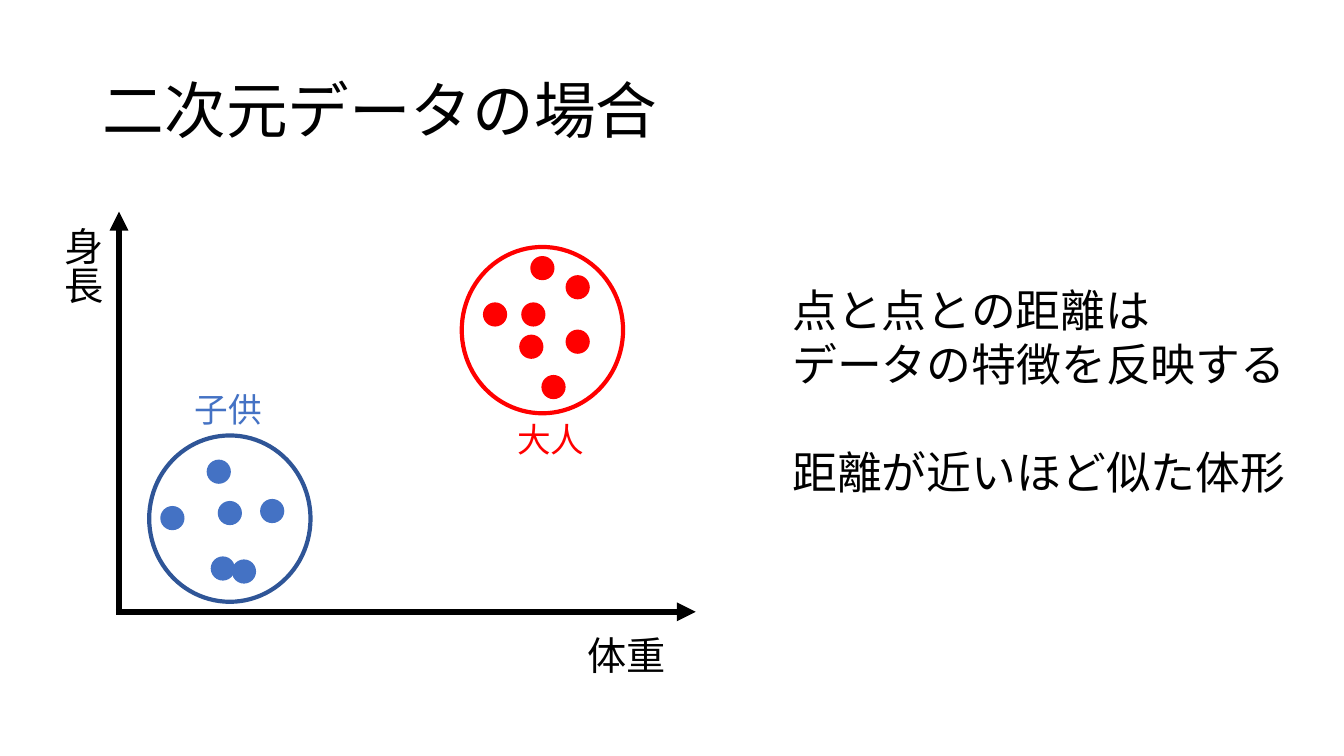
from pptx import Presentation
from pptx.dml.color import RGBColor
from pptx.enum.shapes import MSO_CONNECTOR, MSO_SHAPE
from pptx.enum.text import MSO_ANCHOR, PP_ALIGN
from pptx.oxml.ns import qn
from pptx.util import Pt
from lxml.etree import SubElement

BLACK, RED, BLUE, NAVY = "000000", "FF0000", "4472C4", "2F5597"
DOT = 24
RING_WIDTH, RING_HEIGHT = 160, 165
CHILD_DOTS = [(159, 502), (205, 456), (230, 555), (258, 495), (216, 497), (209, 552)]
ADULT_DOTS = [(517, 300), (479, 300), (561, 273), (526, 254), (515, 332), (537, 372), (561, 327)]


def px(length):
    return length * 9144


def color(value):
    return RGBColor.from_string(value)


class ScatterSlide:
    """Holds the font and the current slide, and draws each kind of element."""

    font = "Noto Sans CJK JP"

    def __init__(self, presentation):
        self.slide = presentation.slides.add_slide(presentation.slide_layouts[5])
        self.shapes = self.slide.shapes

    def format_runs(self, paragraph, size, ink):
        for run in paragraph.runs:
            run.font.size = Pt(size)
            run.font.name = self.font
            run.font.color.rgb = color(ink)
            SubElement(run.font._element, qn("a:ea")).set("typeface", self.font)

    def title(self, text, left, top, width, height):
        title = self.shapes.title
        title.left, title.top, title.width, title.height = map(px, (left, top, width, height))
        frame = title.text_frame
        frame.text = text
        frame.vertical_anchor = MSO_ANCHOR.MIDDLE
        paragraph = frame.paragraphs[0]
        paragraph.alignment = PP_ALIGN.LEFT
        paragraph.line_spacing = 0.9
        self.format_runs(paragraph, 44, BLACK)

    def text(self, text, left, top, width, height, size, ink=BLACK, vertical=False):
        frame = self.shapes.add_textbox(*map(px, (left, top, width, height))).text_frame
        frame.text = text
        frame.word_wrap = True
        frame.margin_top = px(8)
        if vertical:
            frame._txBody.bodyPr.set("vert", "eaVert")
        for paragraph in frame.paragraphs:
            paragraph.line_spacing = Pt(round(size * 1.2, 1))
            self.format_runs(paragraph, size, ink)
        return frame

    def axis(self, *ends):
        connector = self.shapes.add_connector(MSO_CONNECTOR.STRAIGHT, *map(px, ends))
        connector.line.color.rgb = color(BLACK)
        connector.line.width = Pt(4.5)
        SubElement(connector.line._get_or_add_ln(), qn("a:tailEnd")).set("type", "triangle")
        SubElement(connector._element.spPr, qn("a:effectLst"))

    def ellipse(self, left, top, width, height):
        shape = self.shapes.add_shape(MSO_SHAPE.OVAL, *map(px, (left, top, width, height)))
        shape.shadow.inherit = False
        return shape

    def dot(self, left, top, ink):
        shape = self.ellipse(left, top, DOT, DOT)
        shape.fill.solid()
        shape.fill.fore_color.rgb = color(ink)
        shape.line.fill.background()

    def ring(self, left, top, ink):
        shape = self.ellipse(left, top, RING_WIDTH, RING_HEIGHT)
        shape.fill.background()
        shape.line.color.rgb = color(ink)
        shape.line.width = Pt(3)

    def cluster(self, dots, ring, ink, ring_ink):
        for left, top in dots:
            self.dot(left, top, ink)
        self.ring(*ring, ring_ink)


def main():
    presentation = Presentation()
    presentation.slide_width, presentation.slide_height = px(1333), px(750)
    slide = ScatterSlide(presentation)

    slide.title("二次元データの場合", 92, 40, 1150, 145)
    slide.axis(115, 607, 690, 607)
    slide.axis(118, 610, 118, 210)
    slide.text("体重", 573, 618, 103, 57, 28)
    slide.text("身長", 43, 217, 67, 145, 28, vertical=True)

    slide.cluster(CHILD_DOTS, (148, 432), BLUE, NAVY)
    slide.cluster(ADULT_DOTS, (458, 245), RED, RED)
    slide.text("子供", 183, 378, 142, 50, 24, BLUE)
    slide.text("大人", 503, 408, 142, 50, 24, RED)

    message = slide.text(
        "点と点との距離は\nデータの特徴を反映する\n距離が近いほど似た体形", 776, 273, 543, 226, 32)
    message.paragraphs[2].space_before = Pt(38.4)

    presentation.save("out.pptx")


if __name__ == "__main__":
    main()
